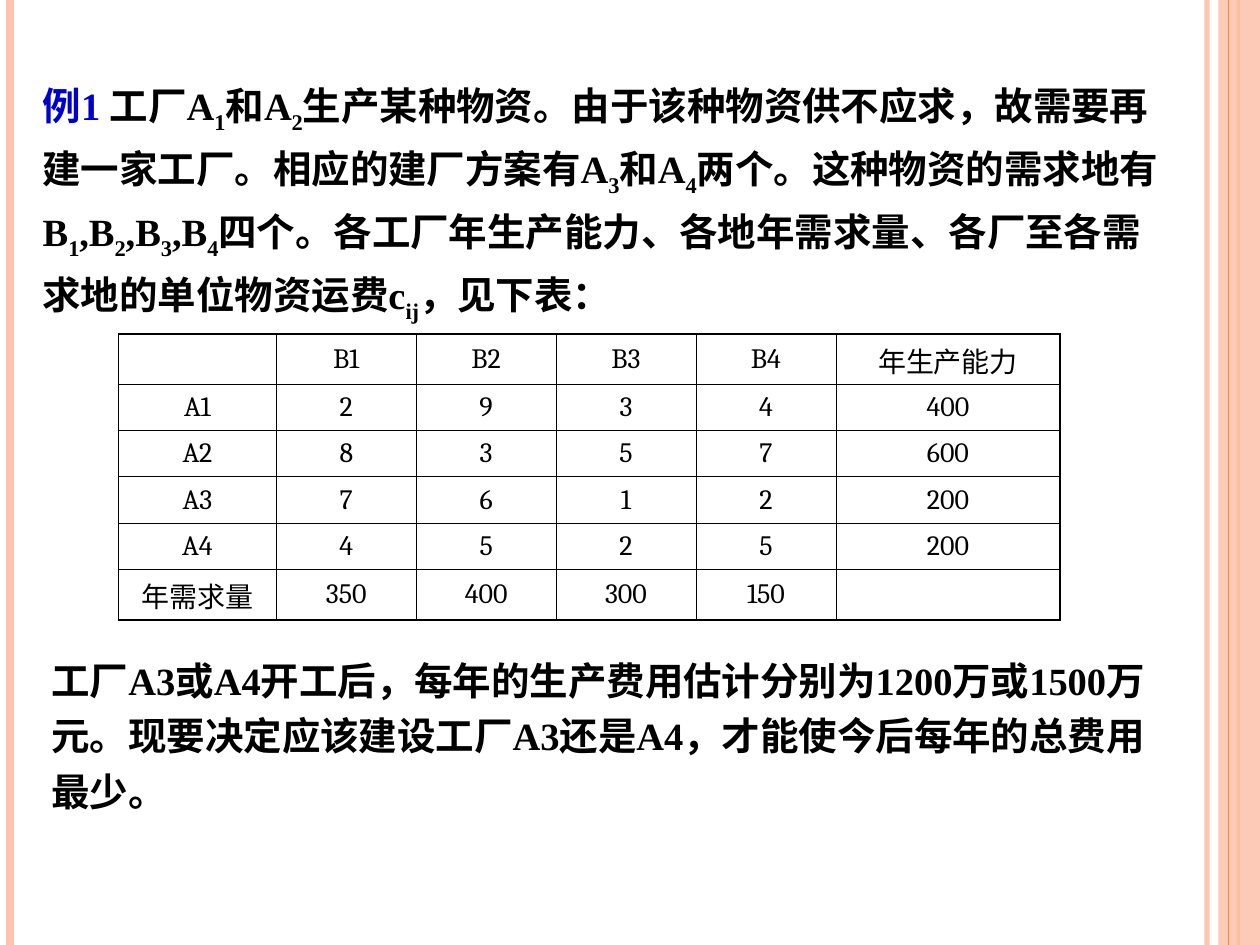
from dataclasses import dataclass

from lxml.etree import SubElement
from pptx import Presentation
from pptx.dml.color import RGBColor
from pptx.enum.shapes import MSO_CONNECTOR as Connector, MSO_SHAPE as Preset
from pptx.enum.text import MSO_ANCHOR as Anchor, MSO_AUTO_SIZE as AutoSize, PP_ALIGN as Align
from pptx.oxml.ns import qn
from pptx.util import Cm, Pt

COLORS = {
    "black": "000000",
    "label": "0000CC",
    "peach": "FEC3AE",
    "orange": "FE8637",
}
BODY_FONT, TABLE_FONT = "Times New Roman", "Cambria"
SLIDE_WIDTH, SLIDE_HEIGHT = 25.4, 19.05
THIN, THICK = 0.45, 1.08


@dataclass(frozen=True)
class Stripe:
    x: float
    color: str
    weight: float
    opacity: int = 100


@dataclass(frozen=True)
class Piece:
    text: str
    color: str = "black"
    subscript: bool = False


@dataclass(frozen=True)
class Passage:
    left: float
    top: float
    width: float
    height: float
    pieces: list[Piece]


LEFT_STRIPES = [
    Stripe(24.33, "peach", 3, 93),
    Stripe(0.2, "peach", 4.5),
    Stripe(24.97, "orange", 1.5),
]
BAND_STRIPE = Stripe(24.77, "orange", 0.75)

SUBSCRIPTED = [
    ("工厂A", "1"),
    ("和A", "2"),
    ("生产某种物资。由于该种物资供不应求，故需要再建一家工厂。相应的建厂方案有A", "3"),
    ("和A", "4"),
    ("两个。这种物资的需求地有B", "1"),
    (",B", "2"),
    (",B", "3"),
    (",B", "4"),
    ("四个。各工厂年生产能力、各地年需求量、各厂至各需求地的单位物资运费c", "ij"),
]
PROBLEM = Passage(0.61, 1.32, 23.22, 5.33, [
    Piece("例1 ", "label"),
    *(piece for base, index in SUBSCRIPTED
      for piece in (Piece(base), Piece(index, subscript=True))),
    Piece("，见下表："),
])
QUESTION = Passage(0.79, 12.93, 23.29, 3.61, [
    Piece("工厂A3或A4开工后，每年的生产费用估计分别为1200万或1500万元。"
          "现要决定应该建设工厂A3还是A4，才能使今后每年的总费用最少。"),
])

COSTS = [
    ["", "B1", "B2", "B3", "B4", "年生产能力"],
    ["A1", "2", "9", "3", "4", "400"],
    ["A2", "8", "3", "5", "7", "600"],
    ["A3", "7", "6", "1", "2", "200"],
    ["A4", "4", "5", "2", "5", "200"],
    ["年需求量", "350", "400", "300", "150", ""],
]
COLUMN_WIDTHS = [3.18, *[2.82] * 4, 4.52]
ROW_HEIGHT = 0.93


def rgb(color: str) -> RGBColor:
    return RGBColor.from_string(COLORS[color])


def set_opacity(element, percent: int) -> None:
    for color in element.iter(qn("a:srgbClr")):
        SubElement(color, qn("a:alpha"), val=str(percent * 1000))


def draw_stripe(slide, stripe: Stripe) -> None:
    line = slide.shapes.add_connector(
        Connector.STRAIGHT, Cm(stripe.x), Cm(0), Cm(stripe.x), Cm(SLIDE_HEIGHT))
    line.line.color.rgb = rgb(stripe.color)
    line.line.width = Pt(stripe.weight)
    properties = line._element.spPr
    SubElement(properties, qn("a:effectLst"))
    if stripe.opacity < 100:
        set_opacity(properties, stripe.opacity)


def draw_band(slide) -> None:
    width = 0.84
    band = slide.shapes.add_shape(
        Preset.RECTANGLE, Cm(SLIDE_WIDTH - width), Cm(0), Cm(width), Cm(SLIDE_HEIGHT))
    band.shadow.inherit = False
    band.fill.solid()
    band.fill.fore_color.rgb = rgb("peach")
    band.line.fill.background()
    set_opacity(band._element.spPr, 87)


def add_run(paragraph, text: str, font: str, size: float, color: str, bold: bool):
    run = paragraph.add_run()
    run.text = text
    run.font.name = font
    run.font.size = Pt(size)
    run.font.bold = bold
    run.font.color.rgb = rgb(color)
    return run


def draw_passage(slide, passage: Passage) -> None:
    box = slide.shapes.add_textbox(
        Cm(passage.left), Cm(passage.top), Cm(passage.width), Cm(passage.height))
    frame = box.text_frame
    frame.word_wrap = True
    frame.auto_size = AutoSize.SHAPE_TO_FIT_TEXT
    paragraph = frame.paragraphs[0]
    paragraph.line_spacing = 1.2
    for piece in passage.pieces:
        run = add_run(paragraph, piece.text, BODY_FONT, 22, piece.color, True)
        if piece.subscript:
            run.font._element.set("baseline", "-25000")


def set_border(cell, side: str, weight: float) -> None:
    border = SubElement(cell._tc.get_or_add_tcPr(), qn(f"a:ln{side}"), w=str(Pt(weight)))
    fill = SubElement(border, qn("a:solidFill"))
    SubElement(fill, qn("a:srgbClr"), val=COLORS["black"])


def draw_costs(slide) -> None:
    rows, columns = len(COSTS), len(COLUMN_WIDTHS)
    table = slide.shapes.add_table(
        rows, columns, Cm(2.39), Cm(6.73),
        Cm(sum(COLUMN_WIDTHS)), Cm(ROW_HEIGHT * rows)).table
    table.first_row = table.horz_banding = False
    for column, width in zip(table.columns, COLUMN_WIDTHS):
        column.width = Cm(width)
    for r, values in enumerate(COSTS):
        table.rows[r].height = Cm(ROW_HEIGHT)
        for c, value in enumerate(values):
            cell = table.cell(r, c)
            outer_sides = {"L": c == 0, "R": c == columns - 1, "T": r == 0, "B": r == rows - 1}
            for side, outer in outer_sides.items():
                set_border(cell, side, THICK if outer else THIN)
            cell.fill.background()
            cell.vertical_anchor = Anchor.MIDDLE
            paragraph = cell.text_frame.paragraphs[0]
            paragraph.alignment = Align.CENTER
            add_run(paragraph, value, TABLE_FONT, 16, "black", False)


def main() -> None:
    deck = Presentation()
    deck.slide_width, deck.slide_height = Cm(SLIDE_WIDTH), Cm(SLIDE_HEIGHT)
    slide = deck.slides.add_slide(deck.slide_layouts[6])
    for stripe in LEFT_STRIPES:
        draw_stripe(slide, stripe)
    draw_band(slide)
    draw_stripe(slide, BAND_STRIPE)
    draw_passage(slide, PROBLEM)
    draw_costs(slide)
    draw_passage(slide, QUESTION)
    deck.save("out.pptx")


if __name__ == "__main__":
    main()
